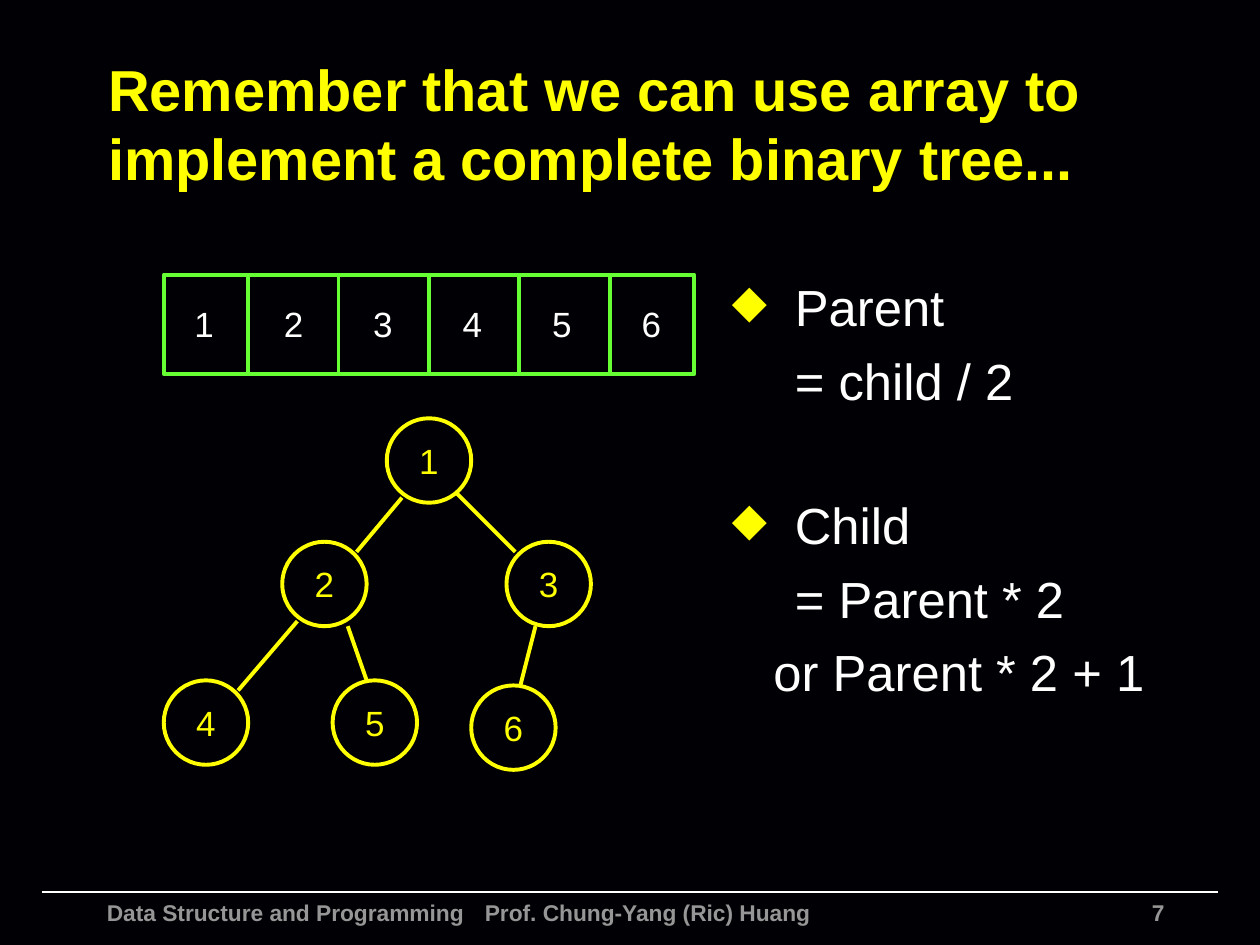
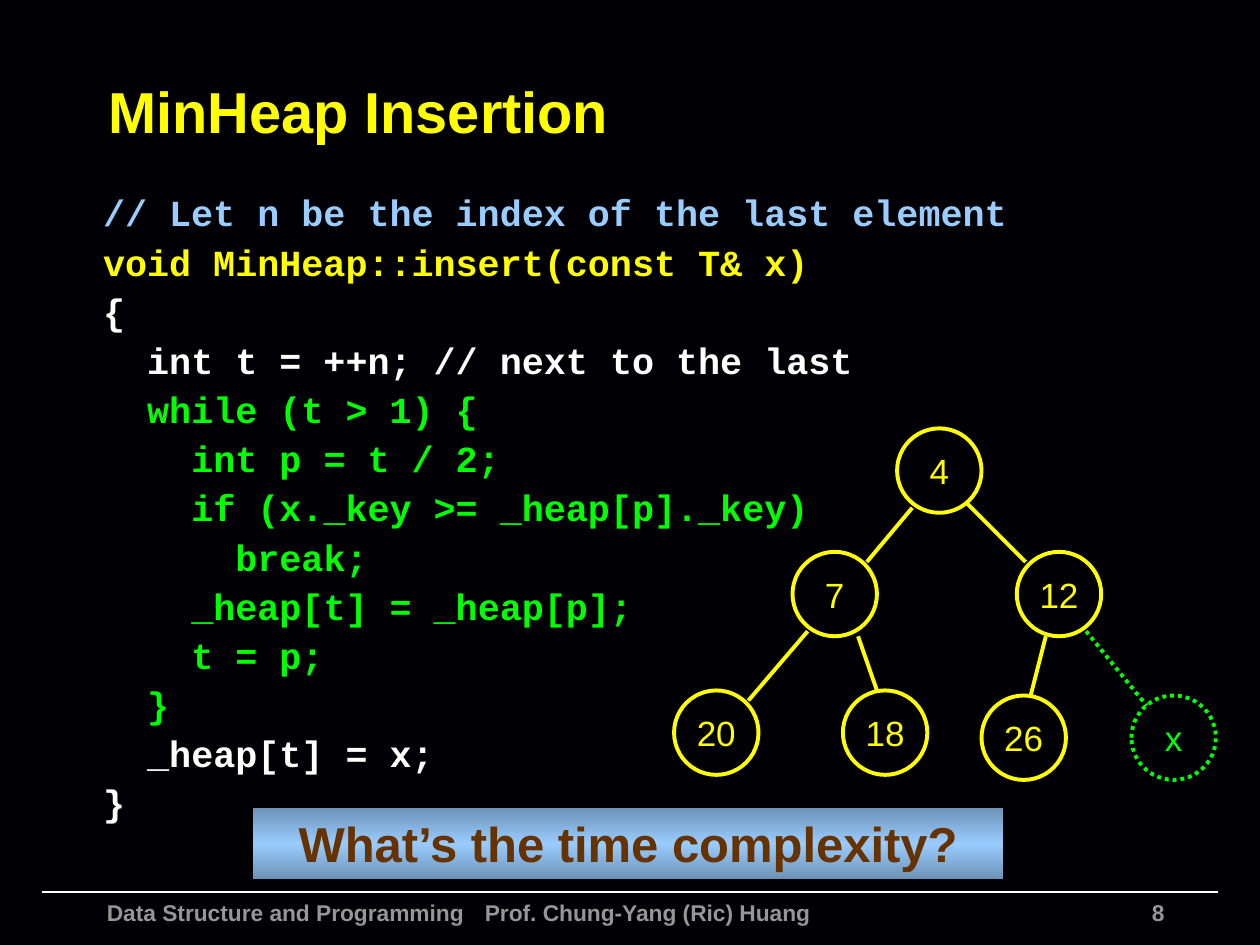
from pptx import Presentation
from pptx import util as u
from pptx.dml.color import RGBColor
from pptx.enum import dml, shapes, text
from pptx.oxml import parse_xml
from pptx.oxml.ns import qn
from lxml import etree

NS = 'xmlns:a="http://schemas.openxmlformats.org/drawingml/2006/main"'
BLACK, WHITE, GREY = "010004", "FFFFFF", "969696"
YELLOW, GREEN, LIME, SKY = "FFFF00", "00FF00", "66FF33", "99CCFF"
STEEL, BROWN = "6D92B6", "663300"
CENTER, RIGHT = text.PP_ALIGN.CENTER, text.PP_ALIGN.RIGHT
MIDDLE = text.MSO_ANCHOR.MIDDLE

# Footer: course and author, parted by one tab stop
FOOTER = "Data Structure and Programming\tProf. Chung-Yang (Ric) Huang"
AUTHOR_TAB = 4.1

# Array
ARRAY = ["1", "2", "3", "4", "5", "6"]
ARRAY_BOX = (1.3, 2.18, 4.21, 0.79)
FIRST_DIVIDER, DIVIDER_GAP = 1.97, 0.717
FIRST_LABEL, LABEL_GAP = 1.49, 0.71

# Tree: top left corner of each node in level order, and its edges
NODE_SIZE = 0.67
NODES = [(3.07, 3.32), (2.24, 4.3), (4.02, 4.3),
         (1.3, 5.4), (2.64, 5.4), (3.74, 5.44), (4.93, 5.44)]
EDGES = [(3.19, 3.95, 2.83, 4.38), (3.62, 3.91, 4.09, 4.38),
         (2.36, 4.93, 1.89, 5.48), (2.76, 4.97, 2.91, 5.4),
         (4.25, 4.97, 4.13, 5.44), (4.57, 4.93, 5.05, 5.52)]
HEAP = ["4", "7", "12", "20", "18", "26", "x"]
HEAP_SHIFT = (4.05, 0.08)

# Rules: text, bulleted, left margin, space before
RULES = [("Parent", True, 0.5, 0), ("= child / 2", False, 0.5, 7.25),
         ("Child", True, 0.5, 47.8), ("= Parent * 2", False, 0.5, 7.25),
         ("or Parent * 2 + 1", False, 0.33, 7.25)]

# Code: indent level, text, colour
CODE = [(0, "// Let n be the index of the last element", SKY),
        (0, "void MinHeap::insert(const T& x)", YELLOW),
        (0, "{", WHITE),
        (1, "int t = ++n; // next to the last", WHITE),
        (1, "while (t > 1) {", GREEN),
        (2, "int p = t / 2;", GREEN),
        (2, "if (x._key >= _heap[p]._key)", GREEN),
        (3, "break;", GREEN),
        (2, "_heap[t] = _heap[p];", GREEN),
        (2, "t = p;", GREEN),
        (1, "}", GREEN),
        (1, "_heap[t] = x;", WHITE),
        (0, "}", WHITE)]
CODE_INDENT = 0.35


def rgb(value):
    """Turn a hex string into a colour."""
    return RGBColor.from_string(value)


def set_line(line, color, width=2.25, dotted=False):
    """Format an outline or a connector line."""
    line.color.rgb = rgb(color)
    line.width = u.Pt(width)
    if dotted:
        line.dash_style = dml.MSO_LINE.ROUND_DOT


def frame(shape, inset=(0.1, 0.05), wrap=True, anchor=text.MSO_ANCHOR.TOP):
    """Set insets, wrapping and anchor; return the text frame."""
    tf = shape.text_frame
    tf.margin_left = tf.margin_right = u.Inches(inset[0])
    tf.margin_top = tf.margin_bottom = u.Inches(inset[1])
    tf.word_wrap = wrap
    tf.vertical_anchor = anchor
    return tf


def text_box(s, left, top, width, height, **options):
    """Add a text box and return its text frame."""
    box = s.shapes.add_textbox(*map(u.Inches, (left, top, width, height)))
    return frame(box, **options)


def write(tf, words, size=20, color=WHITE, font="Arial", bold=False, align=None,
          margin=0, before=0, spacing=None, bullet=False, tab=None):
    """Write one paragraph, using the empty first one if there is one."""
    p = tf.paragraphs[0] if not tf.text else tf.add_paragraph()
    p.alignment = align
    p.space_before = u.Pt(before)
    if spacing:
        p.line_spacing = spacing
    pPr = p._p.get_or_add_pPr()
    pPr.set("marL", str(u.Inches(margin)))
    pPr.set("indent", str(-u.Inches(margin) if bullet else 0))
    if bullet:
        for xml in (f'<a:buClr {NS}><a:srgbClr val="{YELLOW}"/></a:buClr>',
                    f'<a:buSzPct {NS} val="90000"/>',
                    f'<a:buChar {NS} char="\u25c6"/>'):
            pPr.append(parse_xml(xml))
    if tab:
        pPr.append(parse_xml(f'<a:tabLst {NS}><a:tab pos="{u.Inches(tab)}" algn="l"/></a:tabLst>'))
    r = p.add_run()
    r.text = words
    r.font.name, r.font.size, r.font.bold = font, u.Pt(size), bold
    r.font.color.rgb = rgb(color)


def add_shape(s, kind, left, top, width, height):
    """Add an unfilled preset shape without shadow."""
    sh = s.shapes.add_shape(kind, *map(u.Inches, (left, top, width, height)))
    sh.shadow.inherit = False
    sh.fill.background()
    return sh


def add_line(s, x1, y1, x2, y2, color, **options):
    """Add a straight connector without shadow."""
    c = s.shapes.add_connector(shapes.MSO_CONNECTOR.STRAIGHT,
                               *map(u.Inches, (x1, y1, x2, y2)))
    set_line(c.line, color, **options)
    etree.SubElement(c._element.spPr, qn("a:effectLst"))


def new_slide(prs, title, number, title_height):
    """Start a slide with background, footer and title."""
    s = prs.slides.add_slide(prs.slide_layouts[6])
    s.background.fill.solid()
    s.background.fill.fore_color.rgb = rgb(BLACK)
    add_line(s, 0.33, 7.08, 9.67, 7.08, WHITE, width=1)
    small = dict(size=13, color=GREY, bold=True)
    write(text_box(s, 6.17, 7.08, 3.17, 0.18), number, align=RIGHT, **small)
    write(text_box(s, 0.75, 7.08, 7.24, 0.42), FOOTER, tab=AUTHOR_TAB, **small)
    write(text_box(s, 0.76, 0.37, 8.84, title_height, anchor=MIDDLE),
          title, size=33, color=YELLOW, bold=True)
    return s


def draw_tree(s, keys, shift=(0, 0)):
    """Draw a complete binary tree; the key x is the dotted new node."""
    dx, dy = shift
    for i, key in enumerate(keys):
        new = key == "x"
        color = GREEN if new else YELLOW
        x, y = NODES[i]
        node = add_shape(s, shapes.MSO_SHAPE.OVAL, x + dx, y + dy, NODE_SIZE, NODE_SIZE)
        set_line(node.line, color, dotted=new)
        write(frame(node, (0.05, 0.05), wrap=False, anchor=MIDDLE),
              key, color=color, align=CENTER)
        if i:
            x1, y1, x2, y2 = EDGES[i - 1]
            add_line(s, x1 + dx, y1 + dy, x2 + dx, y2 + dy, color, dotted=new)


def draw_array(s):
    """Draw the array as a frame with dividers and labels."""
    _, top, _, height = ARRAY_BOX
    set_line(add_shape(s, shapes.MSO_SHAPE.RECTANGLE, *ARRAY_BOX).line, LIME)
    for i, label in enumerate(ARRAY):
        if i:
            x = FIRST_DIVIDER + (i - 1) * DIVIDER_GAP
            add_line(s, x, top, x, top + height, LIME)
        tf = text_box(s, FIRST_LABEL + i * LABEL_GAP, 2.35, 0.26, 0.43,
                      inset=(0.05, 0.05), wrap=False)
        write(tf, label, align=CENTER)


def draw_banner(s, words):
    """Draw the question on a band that is lightest in the middle."""
    band = add_shape(s, shapes.MSO_SHAPE.RECTANGLE, 2.01, 6.41, 5.95, 0.57)
    band.line.fill.background()
    band.fill.gradient()
    band.fill.gradient_angle = 270
    stops = band._element.spPr.find(qn("a:gradFill")).find(qn("a:gsLst"))
    for stop in list(stops):
        stops.remove(stop)
    for pos, color in ((0, STEEL), (50, SKY), (100, STEEL)):
        stops.append(parse_xml(f'<a:gs {NS} pos="{pos * 1000}"><a:srgbClr val="{color}"/></a:gs>'))
    write(frame(band, (0.05, 0.05)), words, size=28, color=BROWN, bold=True, align=CENTER)


def array_slide(prs):
    """Build the slide on storing a tree in an array."""
    s = new_slide(prs, "Remember that we can use array to implement "
                  "a complete binary tree...", "7", 1.21)
    tf = text_box(s, 5.71, 2.14, 3.51, 4.53)
    for words, bullet, margin, before in RULES:
        write(tf, words, size=29, bullet=bullet, margin=margin, before=before)
    draw_array(s)
    draw_tree(s, ARRAY)


def insertion_slide(prs):
    """Build the slide on heap insertion."""
    s = new_slide(prs, "MinHeap Insertion", "8", 1.01)
    tf = text_box(s, 0.72, 1.5, 8.77, 5.17)
    for i, (level, words, color) in enumerate(CODE):
        write(tf, words, size=21, color=color, font="Courier New", bold=True,
              margin=level * CODE_INDENT, spacing=0.9, before=5.4 if i else 0)
    draw_tree(s, HEAP, HEAP_SHIFT)
    draw_banner(s, "What\u2019s the time complexity?")


prs = Presentation()
prs.slide_width, prs.slide_height = u.Inches(10), u.Inches(7.5)
array_slide(prs)
insertion_slide(prs)
prs.save("out.pptx")
